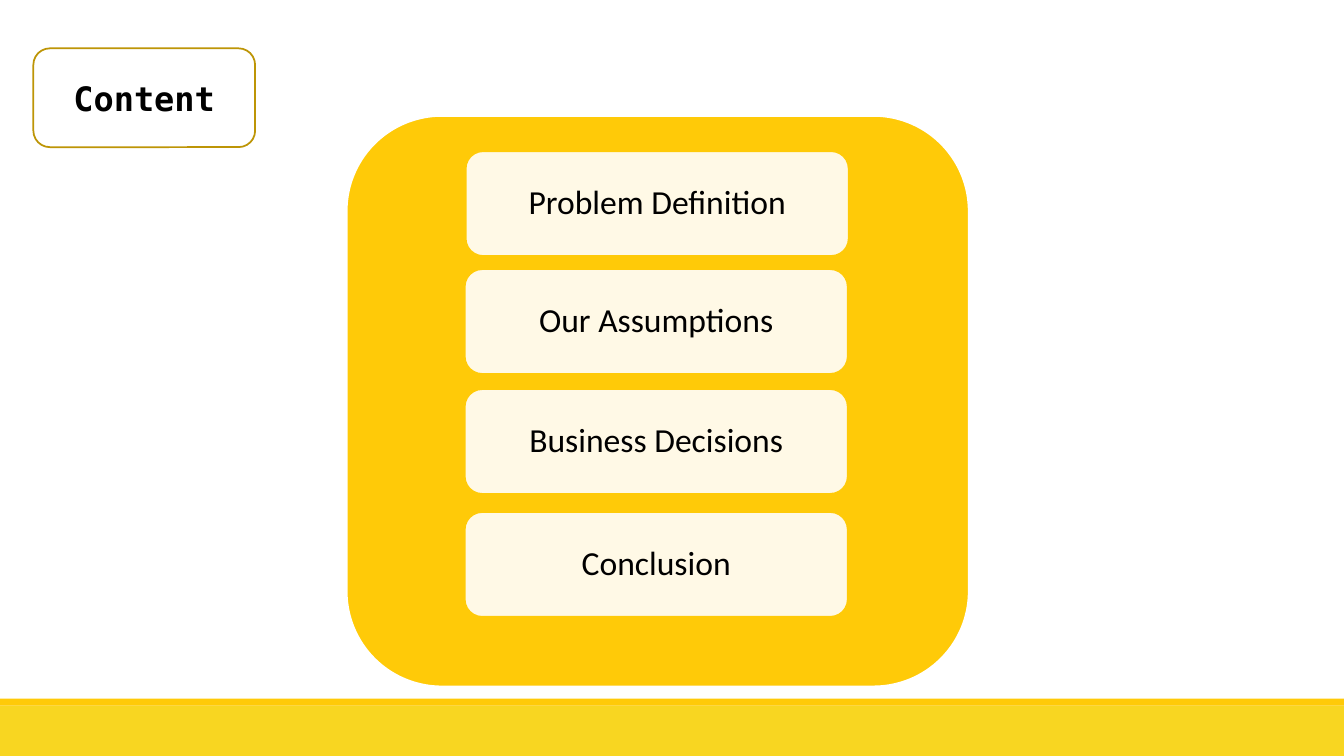
"""Build the content slide: a framed title, a panel of agenda cards and a footer band."""
from dataclasses import dataclass

from lxml.etree import SubElement
from pptx import Presentation
from pptx.dml.color import RGBColor as Color
from pptx.enum.shapes import MSO_SHAPE as Preset
from pptx.enum.text import MSO_ANCHOR as Anchor, MSO_AUTO_SIZE as AutoSize, PP_ALIGN as Align
from pptx.oxml.ns import qn
from pptx.util import Inches, Pt


@dataclass(frozen=True)
class Theme:
    """Colours, fonts and type sizes of the slide."""
    white: str = "FFFFFF"
    black: str = "000000"
    gold: str = "FFCA08"
    lemon: str = "F8D621"
    bronze: str = "BD9506"
    title_font: str = "DejaVu Sans Mono"
    body_font: str = "Calibri"
    text_size: float = 24
    line_width: float = 1.25
    card_opacity: int = 90


THEME = Theme()
WIDTH, HEIGHT = Inches(13.33), Inches(7.5)
CARD_WIDTH, CARD_HEIGHT = 28.5, 13.87
CARDS = [
    ("Problem Definition", 34.65, 20),
    ("Our Assumptions", 34.58, 35.6),
    ("Business Decisions", 34.58, 51.47),
    ("Conclusion", 34.58, 67.73),
]


def place(left, top, width, height):
    """Turn percentages of the slide's size into lengths."""
    return [int(share * side / 100) for share, side in
            zip((left, top, width, height), (WIDTH, HEIGHT, WIDTH, HEIGHT))]


def add_block(slide, preset, box, fill, line=None):
    """Add a flat filled shape, outlined only if a line colour is given."""
    shape = slide.shapes.add_shape(preset, *place(*box))
    shape.shadow.inherit = False
    shape.fill.solid()
    shape.fill.fore_color.rgb = Color.from_string(fill)
    if line:
        shape.line.color.rgb = Color.from_string(line)
        shape.line.width = Pt(THEME.line_width)
    else:
        shape.line.fill.background()
    return shape


def set_text(shape, text, font_name, bold=False):
    """Write one centred paragraph in the middle of a shape."""
    frame = shape.text_frame
    frame.text = text
    frame.word_wrap = True
    frame.vertical_anchor = Anchor.MIDDLE
    paragraph = frame.paragraphs[0]
    paragraph.alignment = Align.CENTER
    font = paragraph.runs[0].font
    font.name = font_name
    font.size = Pt(THEME.text_size)
    font.bold = bold
    font.color.rgb = Color.from_string(THEME.black)


def add_card(slide, text, left, top):
    """Add a translucent agenda card with its label."""
    card = add_block(slide, Preset.ROUNDED_RECTANGLE, (left, top, CARD_WIDTH, CARD_HEIGHT),
                     THEME.white, THEME.gold)
    fill_color = card.element.spPr.find(qn("a:solidFill"))[0]
    SubElement(fill_color, qn("a:alpha"), val=str(THEME.card_opacity * 1000))
    set_text(card, text, THEME.body_font)
    card.text_frame.paragraphs[0].line_spacing = 0.9


def add_title(slide, text):
    """Add the title frame and set the title placeholder in front of it."""
    add_block(slide, Preset.ROUNDED_RECTANGLE, (2.48, 6.4, 16.5, 13.07),
              THEME.white, THEME.bronze)
    title = slide.shapes.title
    title.left, title.top, title.width, title.height = place(4.2, 9.6, 13.05, 6.67)
    set_text(title, text, THEME.title_font, bold=True)
    title.text_frame.auto_size = AutoSize.NONE
    slide.shapes.element.append(title.element)


def main():
    """Compose the slide and save it."""
    presentation = Presentation()
    presentation.slide_width, presentation.slide_height = WIDTH, HEIGHT
    slide = presentation.slides.add_slide(presentation.slide_layouts.get_by_name("Title Only"))
    add_block(slide, Preset.RECTANGLE, (0, 93.33, 100, 6.67), THEME.lemon)
    add_block(slide, Preset.RECTANGLE, (0, 92.4, 100, 0.93), THEME.gold)
    add_block(slide, Preset.ROUNDED_RECTANGLE, (25.8, 15.33, 46.28, 75.47),
              THEME.gold, THEME.white)
    for text, left, top in CARDS:
        add_card(slide, text, left, top)
    add_title(slide, "Content")
    presentation.save("out.pptx")


if __name__ == "__main__":
    main()
